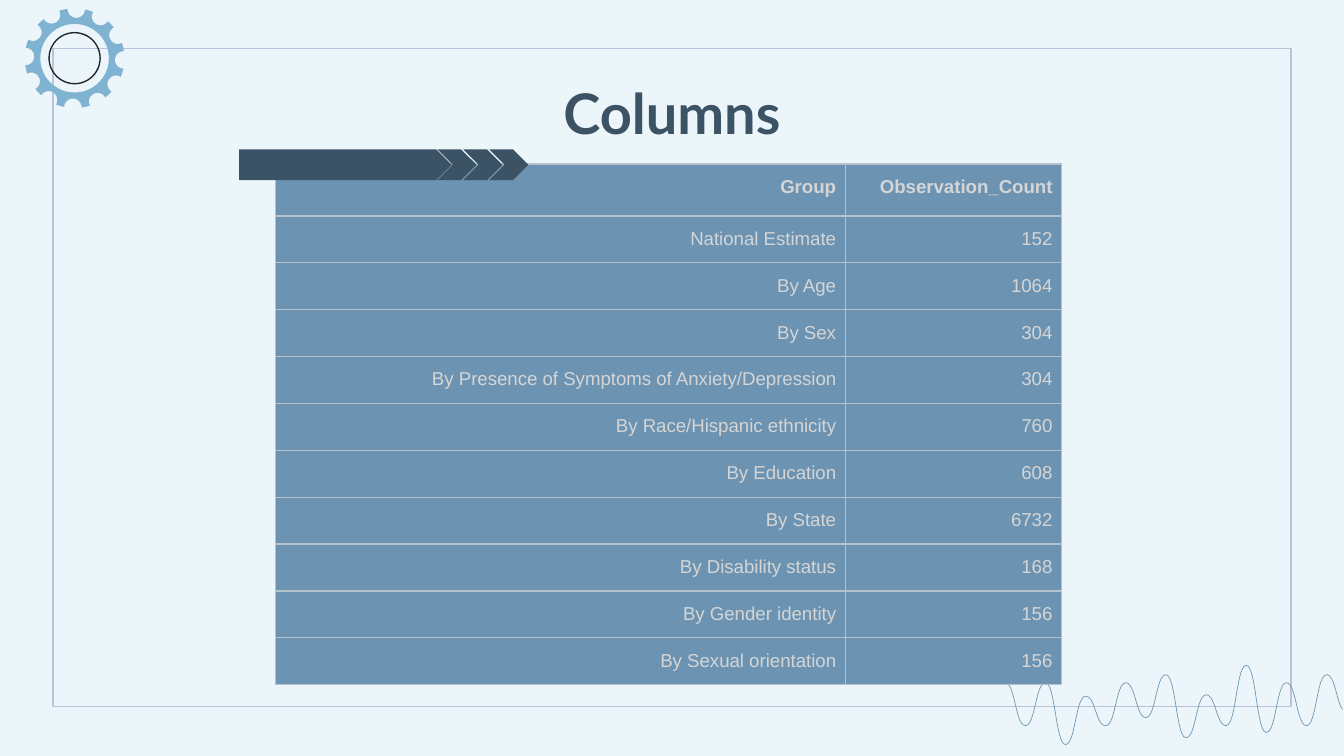
from dataclasses import dataclass
from math import cos, pi, sin

from lxml.etree import SubElement
from pptx import Presentation
from pptx.dml.color import RGBColor
from pptx.enum.shapes import MSO_SHAPE
from pptx.enum.text import PP_ALIGN
from pptx.oxml.ns import qn
from pptx.util import Emu, Inches, Pt

CELL = Inches(0.1)
COLS, ROWS = 100, 56.25

SKY = RGBColor(0xEC, 0xF6, 0xFA)
LAVENDER = RGBColor(0xB9, 0xC4, 0xDA)
STEEL = RGBColor(0x6C, 0x94, 0xB2)
GEAR_BLUE = RGBColor(0x80, 0xB3, 0xD2)
INK = RGBColor(0x21, 0x27, 0x2C)
NAVY = RGBColor(0x3C, 0x53, 0x66)
BORDER = RGBColor(0xB3, 0xC3, 0xCE)
SILVER = RGBColor(0xD5, 0xD5, 0xD5)

WAVE_LEFT, WAVE_RIGHT = 74.8, 100.2
WAVE_TURNS = [
    50.8, 54, 50.8, 55.4, 51.8, 54, 50.8, 53.4, 50.2, 54.9, 51.7, 54,
    49.5, 54.5, 50.8, 54, 50.2, 53,
]

GROUPS = [
    ("Group", "Observation_Count"),
    ("National Estimate", "152"),
    ("By Age", "1064"),
    ("By Sex", "304"),
    ("By Presence of Symptoms of Anxiety/Depression", "304"),
    ("By Race/Hispanic ethnicity", "760"),
    ("By Education", "608"),
    ("By State", "6732"),
    ("By Disability status", "168"),
    ("By Gender identity", "156"),
    ("By Sexual orientation", "156"),
]

Point = tuple[float, float]


def grid(n: float) -> Emu:
    return Emu(round(n * CELL))


@dataclass
class Box:
    col: float
    row: float
    cols: float
    rows: float

    def emu(self) -> list[Emu]:
        return [grid(n) for n in (self.col, self.row, self.cols, self.rows)]


def paint(sp, fill: RGBColor | None = None, line: RGBColor | None = None, width: float = 0.75) -> None:
    sp.shadow.inherit = False
    if fill is None:
        sp.fill.background()
    else:
        sp.fill.solid()
        sp.fill.fore_color.rgb = fill
    if line is None:
        sp.line.fill.background()
    else:
        sp.line.color.rgb = line
        sp.line.width = Pt(width)


def add_preset(s, kind: MSO_SHAPE, box: Box, **style):
    sp = s.shapes.add_shape(kind, *box.emu())
    paint(sp, **style)
    return sp


def add_outline(s, contours: list[list[Point]], closed: bool, **style) -> None:
    paths = [[(grid(x), grid(y)) for x, y in c] for c in contours]
    builder = s.shapes.build_freeform(*paths[0][0])
    for i, points in enumerate(paths):
        if i:
            builder.move_to(*points[0])
        builder.add_line_segments(points[1:], close=closed)
    paint(builder.convert_to_shape(), **style)


def wave_points(steps: int = 12) -> list[Point]:
    turns = [y for i, y in enumerate(WAVE_TURNS)]
    half = (WAVE_RIGHT - WAVE_LEFT) / (2 * len(turns) - 2)
    half *= 2
    points = [(WAVE_LEFT, turns[0])]
    for i, (y0, y1) in enumerate(zip(turns, turns[1:])):
        for k in range(1, steps + 1):
            t = k / steps
            x = 1.5 * t * (1 - t) + t**3
            points.append((WAVE_LEFT + half * (i + x), y0 + (y1 - y0) * t * t * (3 - 2 * t)))
    return [(x, y) for x, y in points if x <= COLS]


def gear_points(cx: float, cy: float, teeth: int = 12, steps: int = 12) -> list[Point]:
    outer, notch_at, notch = 3.71, 3.65, 0.65
    points = []
    for i in range(teeth):
        a = 2 * pi * i / teeth + pi / 90
        nx, ny = cx + notch_at * cos(a), cy + notch_at * sin(a)
        for k in range(steps + 1):
            b = a - pi / 2 - pi * k / steps
            points.append((nx + notch * cos(b), ny + notch * sin(b)))
        mid = a + pi / teeth
        points.append((cx + outer * cos(mid), cy + outer * sin(mid)))
    return points


def circle_points(cx: float, cy: float, radius: float, steps: int = 72) -> list[Point]:
    angles = [-2 * pi * k / steps for k in range(steps)]
    return [(cx + radius * cos(a), cy + radius * sin(a)) for a in angles]


def add_run(p, text: str, font: str, size: float, color: RGBColor, bold: bool) -> None:
    r = p.add_run()
    r.text = text
    r.font.name = font
    r.font.size = Pt(size)
    r.font.bold = bold
    r.font.color.rgb = color


def add_title(s, text: str, box: Box) -> None:
    tf = s.shapes.add_textbox(*box.emu()).text_frame
    tf.word_wrap = True
    tf.margin_left = tf.margin_right = tf.margin_top = tf.margin_bottom = grid(1)
    p = tf.paragraphs[0]
    p.alignment = PP_ALIGN.CENTER
    add_run(p, text, "Lato", 30, NAVY, True)


def fill_cell(cell, text: str, bold: bool) -> None:
    cell.margin_left = cell.margin_right = cell.margin_top = cell.margin_bottom = grid(0.7)
    cell.fill.solid()
    cell.fill.fore_color.rgb = STEEL
    tc_pr = cell._tc.get_or_add_tcPr()
    for i, side in enumerate(("lnL", "lnR", "lnT", "lnB")):
        ln = SubElement(tc_pr, qn(f"a:{side}"), w=str(Pt(0.75)))
        solid = SubElement(ln, qn("a:solidFill"))
        SubElement(solid, qn("a:srgbClr"), val=str(BORDER))
        tc_pr.insert(i, ln)
    p = cell.text_frame.paragraphs[0]
    p.alignment = PP_ALIGN.RIGHT
    p.line_spacing = 1.15
    add_run(p, text, "Arial", 10, SILVER, bold)


def add_groups_table(s, col: float, row: float, widths: list[float], heights: list[float]) -> None:
    box = Box(col, row, sum(widths), sum(heights))
    table = s.shapes.add_table(len(heights), len(widths), *box.emu()).table
    table.first_row = table.horz_banding = False
    for column, width in zip(table.columns, widths):
        column.width = grid(width)
    for i, (height, texts) in enumerate(zip(heights, GROUPS)):
        table.rows[i].height = grid(height)
        for j, text in enumerate(texts):
            fill_cell(table.cell(i, j), text, bold=i == 0)


def main() -> None:
    prs = Presentation()
    prs.slide_width, prs.slide_height = grid(COLS), grid(ROWS)
    s = prs.slides.add_slide(prs.slide_layouts[6])
    s.background.fill.solid()
    s.background.fill.fore_color.rgb = SKY

    add_preset(s, MSO_SHAPE.RECTANGLE, Box(3.95, 3.6, 92.1, 49), line=LAVENDER)
    add_outline(s, [wave_points()], False, line=STEEL, width=0.37)
    cx, cy = 5.55, 4.33
    add_preset(s, MSO_SHAPE.OVAL, Box(cx - 1.9, cy - 1.9, 3.8, 3.8), line=INK)
    add_outline(s, [gear_points(cx, cy), circle_points(cx, cy, 2.55)], True, fill=GEAR_BLUE)

    add_title(s, "Columns", Box(7.87, 4.87, 84.26, 6.3))
    add_groups_table(s, 20.5, 12.2, [42.4, 16.1], [3.87] + [3.49] * (len(GROUPS) - 1))

    add_preset(s, MSO_SHAPE.PENTAGON, Box(17.8, 11.12, 15.8, 2.28), fill=NAVY)
    for i in range(3):
        add_preset(s, MSO_SHAPE.CHEVRON, Box(32.55 + 1.93 * i, 11.12, 2.9, 2.28), fill=NAVY)

    prs.save("out.pptx")


if __name__ == "__main__":
    main()
